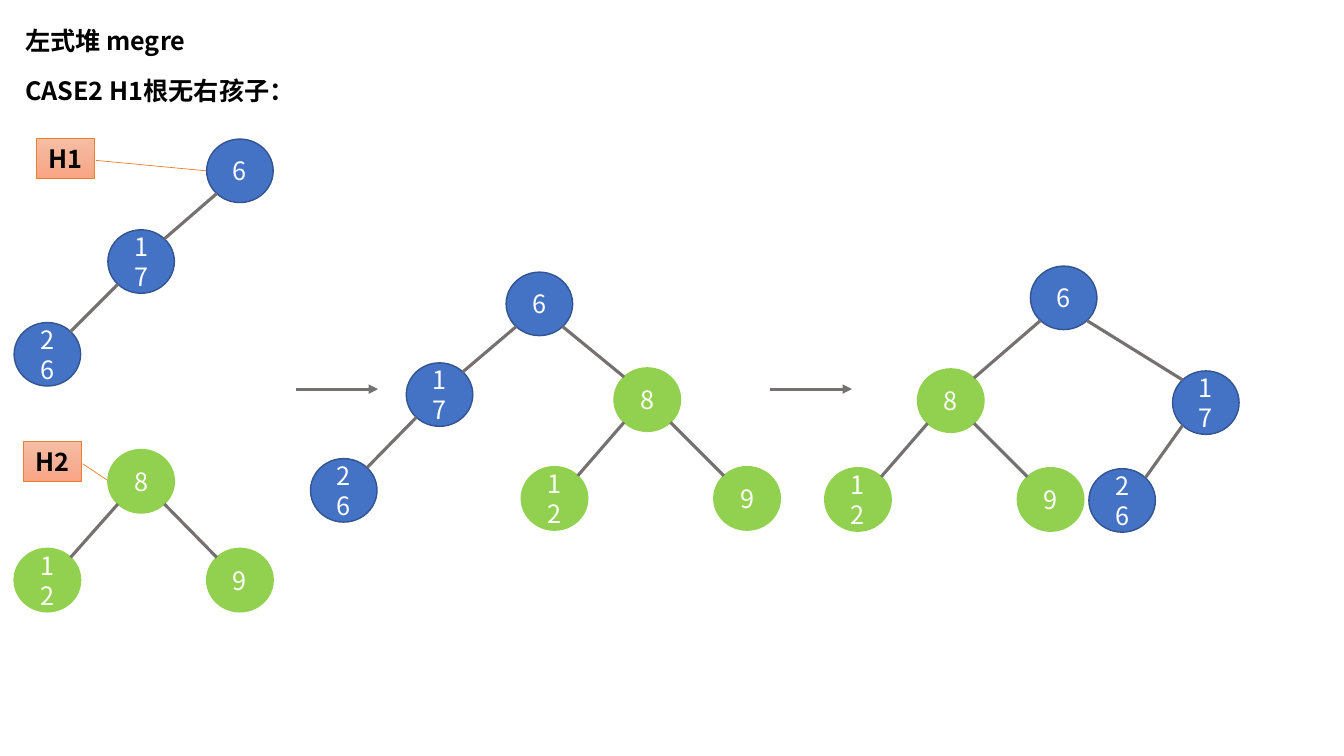
from copy import deepcopy
from dataclasses import dataclass

from lxml import etree
from pptx import Presentation
from pptx import util as u
from pptx.dml.color import RGBColor
from pptx.enum import shapes, text
from pptx.oxml.ns import qn


@dataclass(frozen=True)
class Theme:
    font: str = "Noto Sans CJK SC"
    size: int = 18
    ink: str = "000000"
    node_text: str = "FFFFFF"
    blue: tuple = ("4472C4", "325491")
    green: tuple = ("92D050", "92D050")
    edge: str = "767171"
    edge_width: float = 2.25
    callout_line: str = "ED7D31"
    callout_stops: tuple = ((0, "F7BDA5"), (0.5, "F5B196"), (1, "F8A582"))


theme = Theme()
PX = 9144
NODE_WIDTH, NODE_HEIGHT = 66, 63
CORNER_X, CORNER_Y = 10, 9

presentation = Presentation()
presentation.slide_width, presentation.slide_height = 1333 * PX, 750 * PX
slide = presentation.slides.add_slide(presentation.slide_layouts[6])


def write(shape, words, color, bold, align):
    shape.text_frame.word_wrap = True
    paragraph = shape.text_frame.paragraphs[0]
    paragraph.text = words
    paragraph.alignment = align
    font = paragraph.font
    font.name, font.size, font.bold = theme.font, u.Pt(theme.size), bold
    font.color.rgb = RGBColor.from_string(color)
    properties = paragraph._p.find(".//" + qn("a:defRPr"))
    etree.SubElement(properties, qn("a:ea")).set("typeface", theme.font)


def connect(x1, y1, x2, y2, arrow=False):
    connector = slide.shapes.add_connector(
        shapes.MSO_CONNECTOR.STRAIGHT, x1 * PX, y1 * PX, x2 * PX, y2 * PX)
    connector.line.color.rgb = RGBColor.from_string(theme.edge)
    connector.line.width = u.Pt(theme.edge_width)
    if arrow:
        etree.SubElement(connector.line._get_or_add_ln(), qn("a:tailEnd")).set("type", "triangle")
    etree.SubElement(connector._element.spPr, qn("a:effectLst"))


titles = [("左式堆 megre", 20, 204), ("CASE2 H1根无右孩子：", 70, 289)]
for words, top, width in titles:
    title = slide.shapes.add_textbox(15 * PX, top * PX, width * PX, 40 * PX)
    write(title, words, theme.ink, True, text.PP_ALIGN.LEFT)

callouts = [
    ("H2", 23, 438, (0.554, 1.018, 1.268, 1.759)),
    ("H1", 36, 137, (0.554, 1.018, 0.837, 3.084)),
]
for words, left, top, pointer in callouts:
    callout = slide.shapes.add_shape(
        shapes.MSO_SHAPE.LINE_CALLOUT_1, left * PX, top * PX, 58 * PX, 40 * PX)
    callout.shadow.inherit = False
    for index, value in enumerate(pointer):
        callout.adjustments[index] = value
    callout.fill.gradient()
    callout.fill.gradient_angle = 270
    stop_list = callout._element.spPr.find(".//" + qn("a:gsLst"))
    stop_list.insert(1, deepcopy(stop_list[0]))
    for stop, (position, color) in zip(callout.fill.gradient_stops, theme.callout_stops):
        stop.position = position
        stop.color.rgb = RGBColor.from_string(color)
    callout.line.color.rgb = RGBColor.from_string(theme.callout_line)
    callout.line.width = u.Pt(0.5)
    callout.text_frame.vertical_anchor = text.MSO_ANCHOR.MIDDLE
    write(callout, words, theme.ink, True, text.PP_ALIGN.CENTER)

blue, green = theme.blue, theme.green
heaps = [
    {"6": (205, 138, blue, None), "17": (107, 228, blue, "6"), "26": (14, 320, blue, "17")},
    {"8": (107, 446, green, None), "12": (14, 544, green, "8"), "9": (205, 544, green, "8")},
    {"6": (502, 270, blue, None), "17": (403, 360, blue, "6"), "26": (308, 455, blue, "17"),
     "8": (609, 365, green, "6"), "12": (517, 463, green, "8"), "9": (708, 463, green, "8")},
    {"6": (1022, 264, blue, None), "17": (1163, 368, blue, "6"), "26": (1080, 465, blue, "17"),
     "8": (910, 366, green, "6"), "12": (818, 464, green, "8"), "9": (1009, 464, green, "8")},
]
for heap in heaps:
    for key, (left, top, (fill, outline), parent) in heap.items():
        node = slide.shapes.add_shape(
            shapes.MSO_SHAPE.OVAL, left * PX, top * PX, NODE_WIDTH * PX, NODE_HEIGHT * PX)
        node.shadow.inherit = False
        node.fill.solid()
        node.fill.fore_color.rgb = RGBColor.from_string(fill)
        node.line.color.rgb = RGBColor.from_string(outline)
        node.line.width = u.Pt(1)
        node.text_frame.vertical_anchor = text.MSO_ANCHOR.MIDDLE
        write(node, key, theme.node_text, False, text.PP_ALIGN.CENTER)
        if parent:
            parent_left, parent_top = heap[parent][:2]
            near, far = CORNER_X, NODE_WIDTH - CORNER_X
            start, end = (near, far) if left < parent_left else (far, near)
            connect(parent_left + start, parent_top + NODE_HEIGHT - CORNER_Y,
                    left + end, top + CORNER_Y)

for left in (294, 764):
    connect(left, 386, left + 81, 386, arrow=True)

presentation.save("out.pptx")
